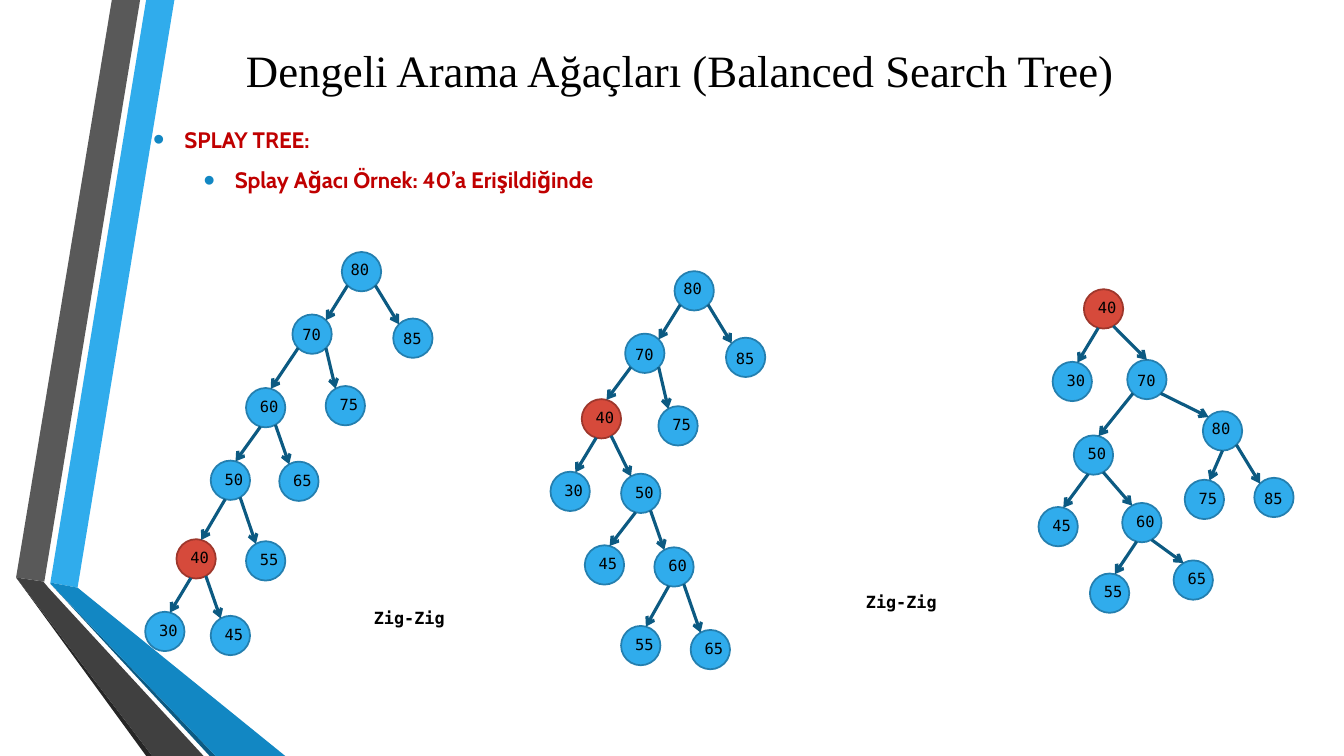
from math import cos, radians, sin

from lxml import etree
from pptx import Presentation
from pptx import util as u
from pptx.dml.color import RGBColor
from pptx.enum import shapes, text
from pptx.oxml import ns

COLORS = {
    "sky": "30ACEC", "sky line": "247FAF", "red": "D64A3B", "red line": "9E372C",
    "edge": "0C5A82", "blue": "1287C3", "gray": "595959", "dark gray": "404040",
    "charcoal": "262626", "heading": "C00000", "black": "000000",
}
MONO = "DejaVu Sans Mono"

TITLE = "Dengeli Arama Ağaçları (Balanced Search Tree)"
BULLETS = [("SPLAY TREE:", 0.31), ("Splay Ağacı Örnek: 40’a Erişildiğinde", 0.81)]
STEPS = [("Zig-Zig", 3.61, 5.98), ("Zig-Zig", 8.49, 5.82)]

RIBBONS = [
    ("sky", [(0.5, 5.78), (0.77, 5.83), (1.73, 0), (1.45, 0)]),
    ("gray", [(1.39, 0), (1.11, 0), (0.16, 5.73), (0.44, 5.77)]),
    ("charcoal", [(0.16, 5.73), (1.45, 7.5), (1.51, 7.5)]),
    ("edge", [(0.5, 5.79), (2.08, 7.5), (2.14, 7.5)]),
    ("blue", [(0.5, 5.79), (2.14, 7.5), (2.83, 7.5), (0.77, 5.83), (0.5, 5.78)]),
    ("dark gray", [(2.02, 7.5), (0.48, 5.83), (0.43, 5.77), (0.16, 5.73), (1.51, 7.5)]),
]

# Each tree maps a key to (parent key, left, top)
TREES = [
    {80: (None, 3.39, 2.5), 70: (80, 2.9, 3.12), 85: (80, 3.9, 3.16),
     60: (70, 2.44, 3.85), 75: (70, 3.23, 3.83), 50: (60, 2.09, 4.57),
     65: (60, 2.77, 4.58), 40: (50, 1.75, 5.35), 55: (50, 2.44, 5.37),
     30: (40, 1.44, 6.07), 45: (40, 2.09, 6.11)},
    {80: (None, 6.69, 2.69), 70: (80, 6.2, 3.31), 85: (80, 7.2, 3.35),
     40: (70, 5.77, 3.96), 75: (70, 6.53, 4.03), 30: (40, 5.46, 4.68),
     50: (40, 6.16, 4.7), 45: (50, 5.8, 5.41), 60: (50, 6.49, 5.43),
     55: (60, 6.16, 6.21), 65: (60, 6.85, 6.25)},
    {40: (None, 10.75, 2.87), 30: (40, 10.44, 3.59), 70: (40, 11.18, 3.57),
     50: (70, 10.65, 4.32), 80: (70, 11.93, 4.08), 45: (50, 10.3, 5.03),
     60: (50, 11.13, 4.99), 75: (80, 11.75, 4.76), 85: (80, 12.44, 4.74),
     55: (60, 10.81, 5.69), 65: (60, 11.64, 5.56)},
]
ACCESSED = 40
DIAMETER = 0.39
TILT = -29.7
TILTED_LABEL = (0.04, 0.04)
UPRIGHT_LABELS = {70: (0, 0.06), 80: (-0.01, 0.03), 85: (0, 0.06)}
# (parent, child): angles where the edge leaves and arrives
SPECIAL_SITES = {(40, 70): (90, 270), (80, 75): (90, 315)}


def rgb(name):
    return RGBColor.from_string(COLORS[name])


def style_font(para, size, face, color, bold=False):
    font = para.font
    font.size, font.name, font.bold = u.Pt(size), face, bold
    font.color.rgb = rgb(color)


def add_box(page, left, top, width, height):
    box = page.shapes.add_textbox(*map(u.Inches, (left, top, width, height)))
    box.text_frame.word_wrap = True
    return box.text_frame


def add_ribbon(page, color, points):
    start, *rest = [(u.Inches(x), u.Inches(y)) for x, y in points]
    builder = page.shapes.build_freeform(*start)
    builder.add_line_segments(rest, close=True)
    ribbon = builder.convert_to_shape()
    ribbon.shadow.inherit = False
    ribbon.fill.solid()
    ribbon.fill.fore_color.rgb = rgb(color)
    ribbon.line.fill.background()


def add_bullet(para, indent):
    props = para._p.get_or_add_pPr()
    props.set("marL", str(u.Inches(indent)))
    props.set("indent", str(u.Inches(-0.31)))
    color = etree.SubElement(props, ns.qn("a:buClr"))
    etree.SubElement(color, ns.qn("a:srgbClr"), val=COLORS["blue"])
    etree.SubElement(props, ns.qn("a:buSzPct"), val="145000")
    etree.SubElement(props, ns.qn("a:buFont"), typeface="Arial")
    etree.SubElement(props, ns.qn("a:buChar"), char="•")


def add_node(page, key, left, top):
    circle = page.shapes.add_shape(
        shapes.MSO_SHAPE.OVAL, *map(u.Inches, (left, top, DIAMETER, DIAMETER)))
    fill = "red" if key == ACCESSED else "sky"
    circle.shadow.inherit = False
    circle.fill.solid()
    circle.fill.fore_color.rgb = rgb(fill)
    circle.line.color.rgb = rgb(fill + " line")
    circle.line.width = u.Pt(1.25)
    circle.rotation = 0 if key in UPRIGHT_LABELS else TILT

    dx, dy = UPRIGHT_LABELS.get(key, TILTED_LABEL)
    frame = add_box(page, left + dx, top + dy, 0.4, 0.29)
    frame.margin_right = 0
    para = frame.paragraphs[0]
    para.text = str(key)
    style_font(para, 11, MONO, "black")


def site(tree, key, angle):
    """Point on a node's rim; angles run clockwise from the right and turn with the node."""
    _, left, top = tree[key]
    turn = radians(angle + (0 if key in UPRIGHT_LABELS else TILT))
    radius = DIAMETER / 2
    return (u.Inches(left + radius + radius * cos(turn)),
            u.Inches(top + radius + radius * sin(turn)))


def add_edge(page, tree, parent, child):
    if (parent, child) in SPECIAL_SITES:
        leave, arrive = SPECIAL_SITES[parent, child]
    elif child < parent:
        leave, arrive = 135, 315
    else:
        leave = 45 if parent in UPRIGHT_LABELS else 90
        arrive = 225 if child in UPRIGHT_LABELS else 270
    edge = page.shapes.add_connector(
        shapes.MSO_CONNECTOR.STRAIGHT, *site(tree, parent, leave), *site(tree, child, arrive))
    edge.line.color.rgb = rgb("edge")
    edge.line.width = u.Pt(2.25)
    etree.SubElement(edge.line._get_or_add_ln(), ns.qn("a:tailEnd"), type="arrow")
    etree.SubElement(edge._element.spPr, ns.qn("a:effectLst"))


def main():
    deck = Presentation()
    deck.slide_width, deck.slide_height = u.Inches(13.33), u.Inches(7.5)
    page = deck.slides.add_slide(deck.slide_layouts[6])

    for color, points in RIBBONS:
        add_ribbon(page, color, points)

    frame = add_box(page, 1.55, 0.17, 10.39, 1.04)
    frame.vertical_anchor = text.MSO_ANCHOR.MIDDLE
    para = frame.paragraphs[0]
    para.text = TITLE
    para.alignment = text.PP_ALIGN.CENTER
    style_font(para, 32, "Times New Roman", "black")

    frame = add_box(page, 1.42, 1.07, 11.11, 1.21)
    for number, (words, indent) in enumerate(BULLETS):
        para = frame.add_paragraph() if number else frame.paragraphs[0]
        para.text = words
        para.level = number
        add_bullet(para, indent)
        para.alignment = text.PP_ALIGN.JUSTIFY
        para.line_spacing = 1.5
        style_font(para, 16, "Cabin", "heading", bold=True)

    for tree in TREES:
        for key, (_, left, top) in tree.items():
            add_node(page, key, left, top)
        for key, (parent, _, _) in tree.items():
            if parent is not None:
                add_edge(page, tree, parent, key)

    for words, left, top in STEPS:
        para = add_box(page, left, top, 1.31, 0.3).paragraphs[0]
        para.text = words
        style_font(para, 12, MONO, "black", bold=True)

    deck.save("out.pptx")


if __name__ == "__main__":
    main()
